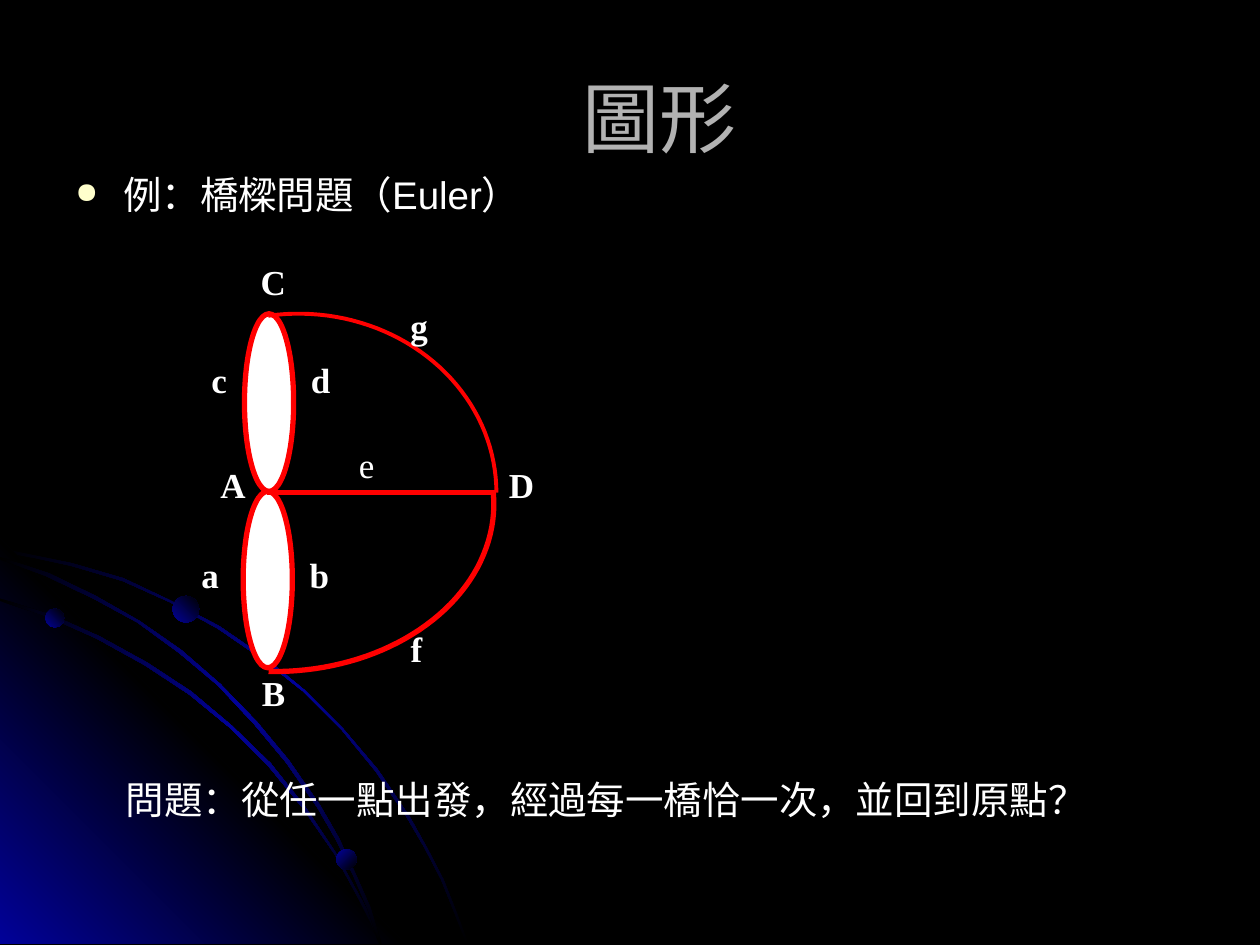
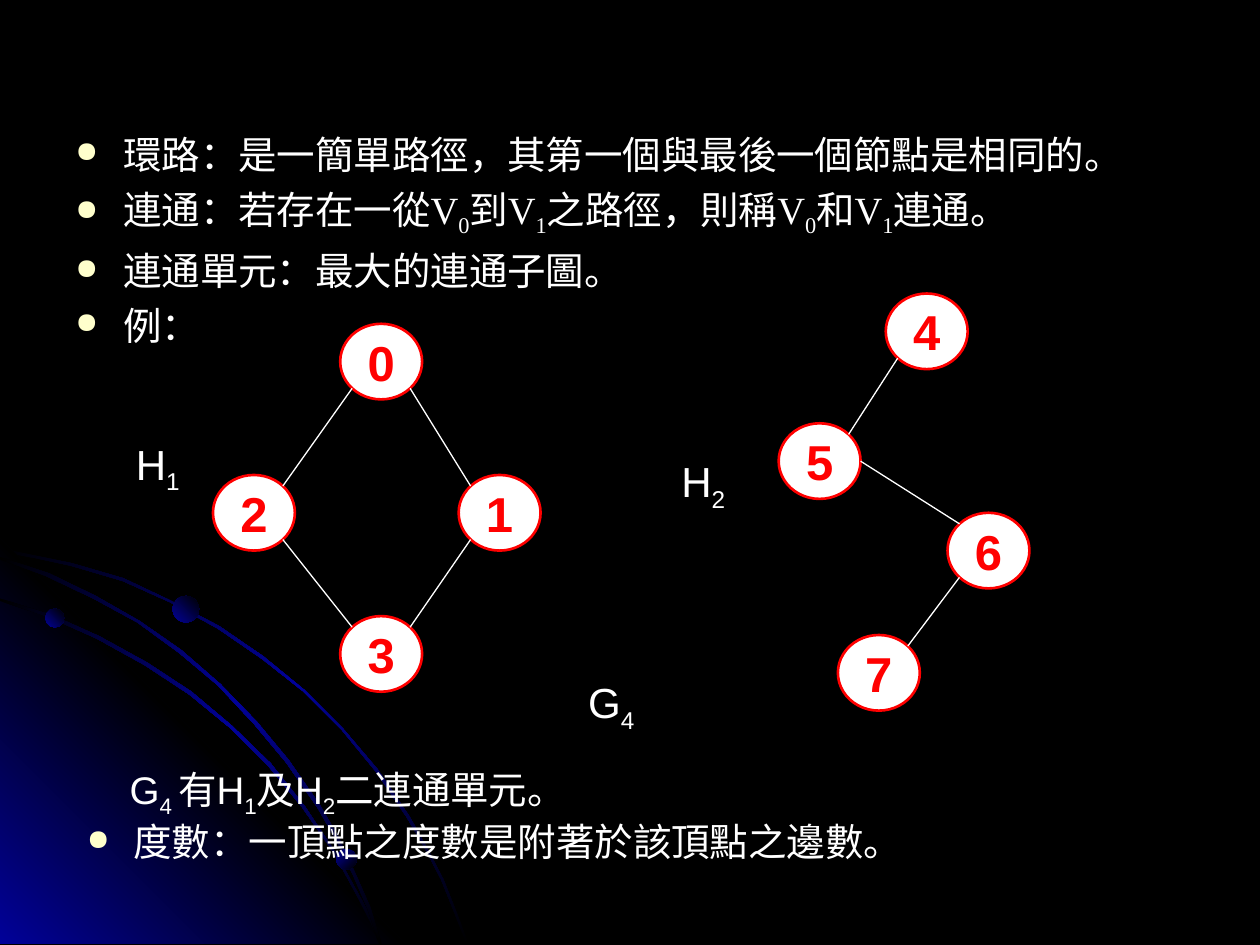
from copy import deepcopy
from math import cos, pi, radians, sin

from lxml.etree import SubElement
from pptx import Presentation
from pptx.dml.color import RGBColor
from pptx.enum.shapes import MSO_CONNECTOR, MSO_SHAPE as Preset
from pptx.enum.text import MSO_ANCHOR as Anchor, PP_ALIGN as Align
from pptx.oxml.ns import qn
from pptx.util import Cm, Pt

BLACK = RGBColor(0, 0, 0)
WHITE = RGBColor(255, 255, 255)
RED = RGBColor(255, 0, 0)
GREY = RGBColor(0xB2, 0xB2, 0xB2)
NIGHT_BLUE = RGBColor(0x01, 0x01, 0x99)
BULLET_COLOR = "FFFFCC"
SANS, SERIF = "Arial", "Times New Roman"
BODY_SIZE = 22
INDENT = 0.38

# All places below are counted in grid squares of 2.54 cm.
SQUARE = 2.54

# Background: a glowing corner, three orbits and three planets
CORNER = [(3.22, 7.49), (0, 7.49), (0, 4.27)]
ORBITS = [
    [(0.57, 4.47), (0.28, 4.41), (0, 4.35), (0, 4.38), (0.28, 4.43), (0.56, 4.49),
     (0.97, 4.61), (1.35, 4.78), (1.73, 4.99), (2.08, 5.23), (2.41, 5.49), (2.71, 5.79),
     (2.98, 6.12), (3.23, 6.49), (3.37, 6.73), (3.5, 6.98), (3.6, 7.23), (3.7, 7.49),
     (3.72, 7.49), (3.62, 7.23), (3.52, 6.98), (3.39, 6.73), (3.25, 6.48), (3, 6.11),
     (2.72, 5.78), (2.42, 5.48), (2.09, 5.21), (1.74, 4.97), (1.36, 4.77), (0.98, 4.59)],
    [(2.85, 7.14), (2.94, 7.32), (3.01, 7.49), (3.03, 7.49), (2.96, 7.3), (2.86, 7.12),
     (2.66, 6.76), (2.42, 6.4), (2.15, 6.06), (1.84, 5.76), (1.52, 5.49), (1.17, 5.26),
     (0.79, 5.05), (0.41, 4.88), (0, 4.75), (0, 4.77), (0.39, 4.9), (0.77, 5.07),
     (1.15, 5.28), (1.5, 5.51), (1.83, 5.78), (2.13, 6.08), (2.4, 6.41), (2.65, 6.77)],
    [(0, 4.42), (0, 4.44), (0.36, 4.57), (0.74, 4.75), (1.09, 4.94), (1.42, 5.18),
     (1.73, 5.44), (2.02, 5.75), (2.27, 6.05), (2.52, 6.41), (2.67, 6.67), (2.8, 6.94),
     (2.92, 7.22), (3.01, 7.49), (3.03, 7.49), (2.94, 7.2), (2.82, 6.93), (2.69, 6.65),
     (2.54, 6.39), (2.29, 6.03), (2.04, 5.73), (1.75, 5.43), (1.44, 5.16), (1.11, 4.93),
     (0.76, 4.73), (0.39, 4.55)],
]
# left, top, diameter, gradient angle
PLANETS = [(0.36, 4.83, 0.15, 45), (2.67, 6.74, 0.16, 315), (1.37, 4.73, 0.21, 45)]

# Slide 1: the bridges
TITLE = "圖形"
EXAMPLE = "例：橋樑問題（Euler）"
QUESTION = "問題：從任一點出發，經過每一橋恰一次，並回到原點？"
ISLANDS = [(1.94, 2.49, 0.39, 1.41), (1.93, 3.9, 0.39, 1.4)]
BRIDGE_E = (2.12, 3.91), (3.94, 3.91)
# centre, radii, first and last angle in degrees, line width
CURVED_BRIDGES = [
    ((2.37, 3.91), (1.57, 1.42), -98.8, 0, 2.25),
    ((2.18, 4), (1.74, 1.33), 91.6, -3.9, 3),
]
# name, left, top, width
BRIDGE_LABELS = [
    ("C", 1.97, 2.02, 0.4), ("c", 1.58, 2.8, 0.32), ("d", 2.37, 2.8, 0.36),
    ("e", 2.75, 3.47, 0.32), ("D", 3.94, 3.63, 0.4), ("g", 3.16, 2.37, 0.34),
    ("A", 1.65, 3.63, 0.4), ("a", 1.5, 4.34, 0.34), ("b", 2.36, 4.34, 0.36),
    ("B", 1.98, 5.28, 0.39), ("f", 3.16, 4.93, 0.29),
]

# Slide 2: connected components; a pair is a symbol and its subscript
V0, V1, H1, H2, G4 = ("V", "0"), ("V", "1"), ("H", "1"), ("H", "2"), ("G", "4")
DEFINITIONS = [
    ["環路：是一簡單路徑，其第一個與最後一個節點是相同的。"],
    ["連通：若存在一從", V0, "到", V1, "之路徑，則稱", V0, "和", V1, "連通。"],
    ["連通單元：最大的連通子圖。"],
    ["例："],
]
COMPONENTS = [("G", "4 "), "有", H1, "及", H2, "二連通單元。"]
DEGREE = ["度數：一頂點之度數是附著於該頂點之邊數。"]
GRAPH_NAMES = [(H1, 0.98, 3.43), (H2, 5.31, 3.57), (G4, 4.57, 5.32)]
NODE_WIDTH, NODE_HEIGHT = 0.65, 0.6
NODES = {
    "0": (2.7, 2.57), "3": (2.7, 4.89), "1": (3.64, 3.77), "2": (1.69, 3.77),
    "4": (7.03, 2.33), "7": (6.65, 5.04), "5": (6.18, 3.36), "6": (7.52, 4.07),
}
DIAGONAL = cos(pi / 4)
SIDES = {
    "nw": (-DIAGONAL, -DIAGONAL), "ne": (DIAGONAL, -DIAGONAL),
    "sw": (-DIAGONAL, DIAGONAL), "se": (DIAGONAL, DIAGONAL), "e": (1, 0),
}
EDGES = [
    ("0", "sw", "2", "ne"), ("0", "se", "1", "nw"), ("2", "se", "3", "nw"),
    ("1", "sw", "3", "ne"), ("4", "sw", "5", "ne"), ("5", "e", "6", "nw"),
    ("6", "sw", "7", "ne"),
]


def squares(*values):
    return [Cm(SQUARE * value) for value in values]


def paint(shape, fill=None, line=None, width=1):
    shape.shadow.inherit = False
    if fill is None:
        shape.fill.background()
    else:
        shape.fill.solid()
        shape.fill.fore_color.rgb = fill
    if line is None:
        shape.line.fill.background()
    else:
        shape.line.color.rgb = line
        shape.line.width = Pt(width)


def paint_gradient(shape, colors, angle):
    paint(shape)
    shape.fill.gradient()
    shape.fill.gradient_angle = angle
    stops = shape.element.find(".//" + qn("a:gsLst"))
    while len(stops) < len(colors):
        stops.append(deepcopy(stops[-1]))
    for i, (stop, color) in enumerate(zip(shape.fill.gradient_stops, colors)):
        stop.color.rgb = color
        stop.position = i / (len(colors) - 1)


def add_outline(slide, points, close=True):
    first, *rest = [squares(*point) for point in points]
    builder = slide.shapes.build_freeform(*first)
    builder.add_line_segments(rest, close=close)
    return builder.convert_to_shape()


def add_line(slide, start, end, color, width):
    line = slide.shapes.add_connector(MSO_CONNECTOR.STRAIGHT, *squares(*start, *end))
    line.line.color.rgb = color
    line.line.width = Pt(width)
    SubElement(line.element.spPr, qn("a:effectLst"))


def add_text_frame(slide, place, wrap=True):
    frame = slide.shapes.add_textbox(*squares(*place)).text_frame
    frame.word_wrap = wrap
    return frame


def set_font(font, size, color=WHITE, name=SANS, bold=False):
    font.size, font.name, font.bold = Pt(size), name, bold
    font.color.rgb = color


def indent(paragraph, left, first=0):
    properties = paragraph._p.get_or_add_pPr()
    properties.set("marL", str(Cm(SQUARE * left)))
    properties.set("indent", str(Cm(SQUARE * first)))
    return properties


def add_bullet(paragraph, left=INDENT):
    properties = indent(paragraph, left, -left)
    color = SubElement(properties, qn("a:buClr"))
    SubElement(color, qn("a:srgbClr"), val=BULLET_COLOR)
    SubElement(properties, qn("a:buSzPct"), val="75000")
    SubElement(properties, qn("a:buChar"), char="●")


def write(paragraph, parts, size=BODY_SIZE, symbol_font=SANS):
    """Write plain strings and (symbol, subscript) pairs."""
    set_font(paragraph.font, size)
    for part in parts:
        if isinstance(part, str):
            paragraph.add_run().text = part
            continue
        for text, baseline in zip(part, (0, -25000)):
            run = paragraph.add_run()
            run.text = text
            run.font.name = symbol_font
            if baseline:
                run._r.get_or_add_rPr().set("baseline", str(baseline))


def add_bullet_list(slide, place, items):
    frame = add_text_frame(slide, place)
    for i, parts in enumerate(items):
        paragraph = frame.add_paragraph() if i else frame.paragraphs[0]
        add_bullet(paragraph)
        if i:
            paragraph.space_before = Pt(5)
        write(paragraph, parts, symbol_font=SERIF)


def add_slide(prs):
    """Add a blank slide with the orbits in its lower left corner."""
    slide = prs.slides.add_slide(prs.slide_layouts[6])
    glow = (BLACK, NIGHT_BLUE, BLACK)
    paint_gradient(add_outline(slide, ORBITS[0]), glow, 315)
    paint_gradient(add_outline(slide, CORNER), (NIGHT_BLUE, BLACK, NIGHT_BLUE), 45)
    for orbit in ORBITS[1:]:
        paint_gradient(add_outline(slide, orbit), glow, 315)
    for left, top, size, angle in PLANETS:
        planet = slide.shapes.add_shape(Preset.OVAL, *squares(left, top, size, size))
        paint_gradient(planet, (NIGHT_BLUE, BLACK), angle)
    return slide


def add_curved_bridge(slide, centre, radii, first, last, width, steps=40):
    angles = [radians(first + (last - first) * i / steps) for i in range(steps + 1)]
    points = [(centre[0] + radii[0] * cos(a), centre[1] + radii[1] * sin(a)) for a in angles]
    paint(add_outline(slide, points, close=False), line=RED, width=width)


def build_bridges(prs):
    slide = add_slide(prs)
    frame = add_text_frame(slide, (0.5, 0.3, 9, 1.25))
    frame.vertical_anchor = Anchor.MIDDLE
    frame.margin_left = Cm(1.46)
    title = frame.paragraphs[0]
    title.text, title.alignment = TITLE, Align.CENTER
    set_font(title.font, 44, GREY)

    add_bullet_list(slide, (0.5, 1.31, 8.83, 0.58), [[EXAMPLE]])
    for place in ISLANDS:
        island = slide.shapes.add_shape(Preset.OVAL, *squares(*place))
        paint(island, WHITE, RED, 3)
    add_line(slide, *BRIDGE_E, RED, 3)
    for bridge in CURVED_BRIDGES:
        add_curved_bridge(slide, *bridge)
    for name, left, top, width in BRIDGE_LABELS:
        label = add_text_frame(slide, (left, top, width, 0.43), wrap=False).paragraphs[0]
        label.text = name
        set_font(label.font, 20, name=SERIF, bold=name != "e")
    question = add_text_frame(slide, (0.9, 6.11, 8.27, 0.47))
    write(question.paragraphs[0], [QUESTION])


def node_side(node, side):
    left, top = NODES[node]
    across, down = SIDES[side]
    return left + NODE_WIDTH / 2 * (1 + across), top + NODE_HEIGHT / 2 * (1 + down)


def build_components(prs):
    slide = add_slide(prs)
    add_bullet_list(slide, (0.5, 0.99, 9, 1.81), DEFINITIONS)

    frame = add_text_frame(slide, (0.59, 6.03, 6.75, 0.87))
    components, degree = frame.paragraphs[0], frame.add_paragraph()
    indent(components, 0.34)
    write(components, COMPONENTS)
    add_bullet(degree, 0.37)
    write(degree, DEGREE)

    for name, (left, top) in NODES.items():
        place = squares(left, top, NODE_WIDTH, NODE_HEIGHT)
        node = slide.shapes.add_shape(Preset.FLOWCHART_CONNECTOR, *place)
        paint(node, WHITE, RED, 1.5)
        node.text_frame.word_wrap = False
        node.text_frame.vertical_anchor = Anchor.MIDDLE
        number = node.text_frame.paragraphs[0]
        number.text, number.alignment = name, Align.CENTER
        set_font(number.font, 28, RED, bold=True)
    for start, start_side, end, end_side in EDGES:
        add_line(slide, node_side(start, start_side), node_side(end, end_side), WHITE, 0.75)
    for name, left, top in GRAPH_NAMES:
        label = add_text_frame(slide, (left, top, 0.57, 0.5), wrap=False)
        write(label.paragraphs[0], [name], size=24)


def main():
    prs = Presentation()
    prs.slide_width, prs.slide_height = squares(10, 7.5)
    background = prs.slide_master.background.fill
    background.solid()
    background.fore_color.rgb = BLACK
    build_bridges(prs)
    build_components(prs)
    prs.save("out.pptx")


if __name__ == "__main__":
    main()
